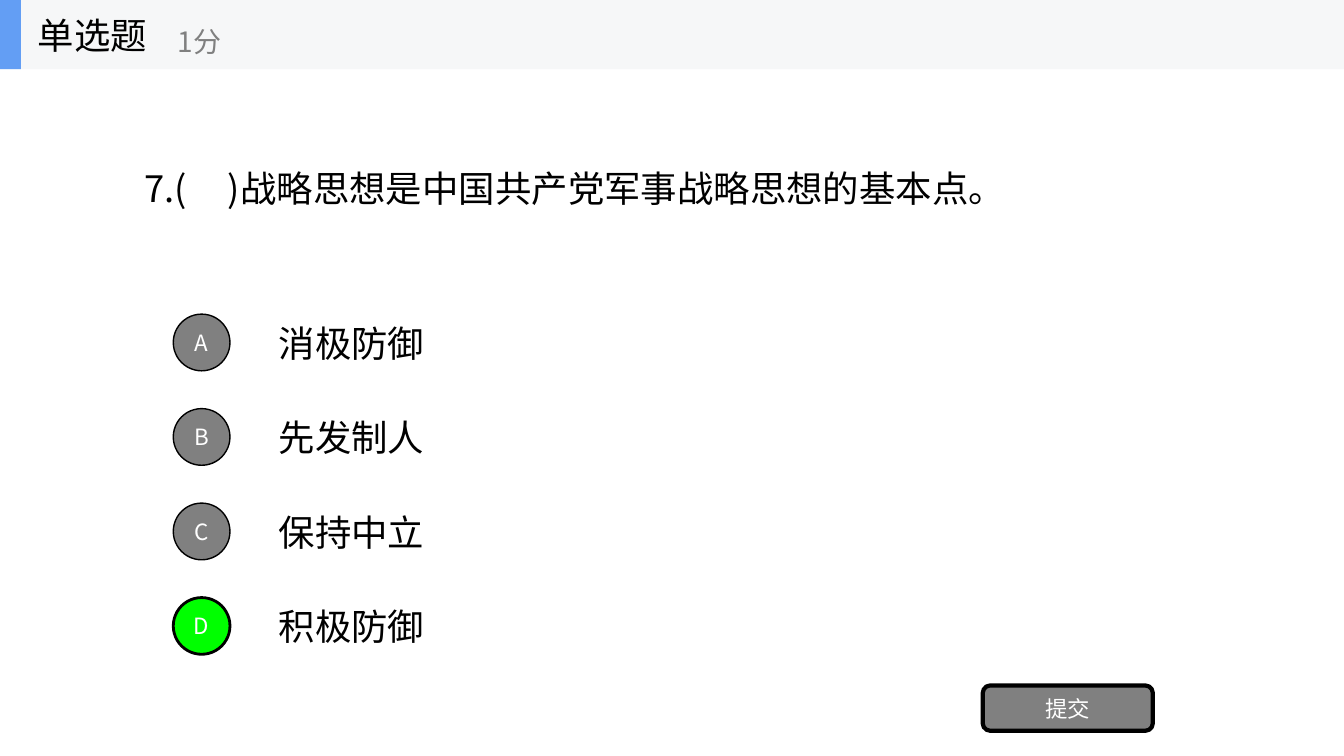
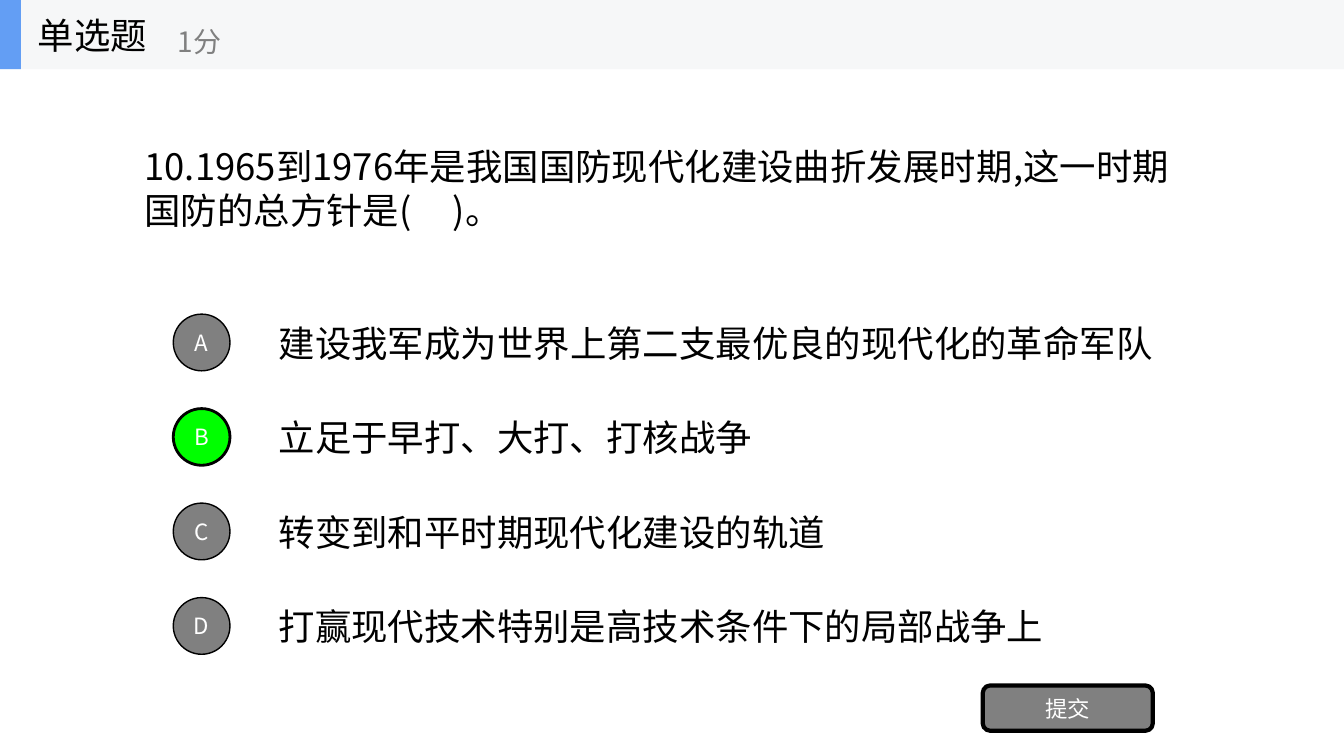
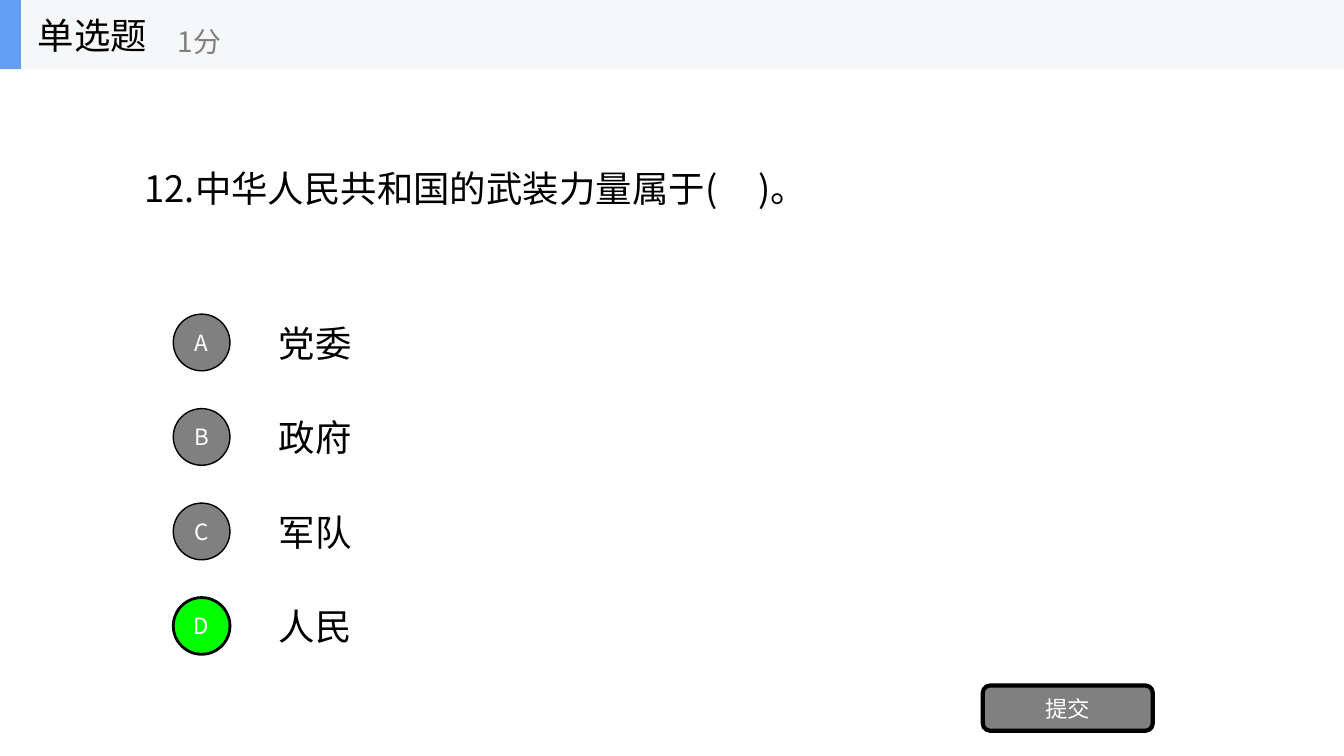
from dataclasses import dataclass

from lxml import etree
from pptx import Presentation
from pptx.dml.color import RGBColor
from pptx.enum import shapes, text
from pptx.oxml import ns
from pptx.util import Pt


# Theme: colours, font and type sizes
@dataclass(frozen=True)
class Theme:
    font: str = "Noto Sans CJK SC"
    ink: str = "000000"
    paper: str = "FFFFFF"
    grey: str = "808080"
    correct: str = "00FF00"
    band: str = "F6F7F8"
    accent: str = "639EF4"
    body_size: int = 26
    score_size: int = 20
    label_size: int = 16


THEME = Theme()


@dataclass(frozen=True)
class Box:
    left: float
    top: float
    width: float
    height: float

    def lengths(self) -> tuple:
        return Pt(self.left), Pt(self.top), Pt(self.width), Pt(self.height)


@dataclass(frozen=True)
class Question:
    wording: str
    width: float
    lines: int
    options: tuple
    answer: str


# Layout, in points
PAGE_WIDTH, PAGE_HEIGHT = 960, 540
BAND_HEIGHT = 49.5
QUESTION_LEFT, QUESTION_MIDDLE = 96, 134.3
LINE_BOX, EXTRA_LINE = 38.2, 31.6
OPTION_LEFT, OPTION_PADDING = 192, 22
BADGE_LEFT, BADGE_SIZE = 123.75, 40.5
FIRST_OPTION_MIDDLE, OPTION_PITCH = 244.6, 67.5
SUBMIT = Box(702, 489.6, 121.5, 32.4)

QUESTIONS = (
    Question("7.(     )战略思想是中国共产党军事战略思想的基本点。", 645.8, 1,
             ("消极防御", "先发制人", "保持中立", "积极防御"), "D"),
    Question("10.1965到1976年是我国国防现代化建设曲折发展时期,"
             "这一时期国防的总方针是(     )。", 751.7, 2,
             ("建设我军成为世界上第二支最优良的现代化的革命军队",
              "立足于早打、大打、打核战争",
              "转变到和平时期现代化建设的轨道",
              "打赢现代技术特别是高技术条件下的局部战争上"), "B"),
    Question("12.中华人民共和国的武装力量属于(     )。", 504.7, 1,
             ("党委", "政府", "军队", "人民"), "D"),
)


# Drawing helpers
def write(shape, wording: str, size: int, color: str,
          align=text.PP_ALIGN.LEFT, wrap: bool = True, grow: bool = False) -> None:
    frame = shape.text_frame
    frame.text = wording
    frame.word_wrap = wrap
    frame.vertical_anchor = text.MSO_ANCHOR.MIDDLE
    frame.auto_size = (text.MSO_AUTO_SIZE.SHAPE_TO_FIT_TEXT if grow
                       else text.MSO_AUTO_SIZE.NONE)
    para = frame.paragraphs[0]
    para.alignment = align
    for span in para.runs:
        span.font.size = Pt(size)
        span.font.name = THEME.font
        span.font.color.rgb = RGBColor.from_string(color)
        east_asian = etree.SubElement(span.font._element, ns.qn("a:ea"))
        east_asian.set("typeface", THEME.font)


def add_text(parent, box: Box, wording: str, size: int, color: str, **style) -> None:
    write(parent.shapes.add_textbox(*box.lengths()), wording, size, color, **style)


def add_block(parent, kind, box: Box, fill: str, line: float = 0, label: str = "") -> None:
    shape = parent.shapes.add_shape(kind, *box.lengths())
    shape.shadow.inherit = False
    shape.fill.solid()
    shape.fill.fore_color.rgb = RGBColor.from_string(fill)
    if line:
        shape.line.color.rgb = RGBColor.from_string(THEME.ink)
        shape.line.width = Pt(line)
    else:
        shape.line.fill.background()
    if label:
        frame = shape.text_frame
        frame.margin_left = frame.margin_right = 0
        write(shape, label, THEME.label_size, THEME.paper, text.PP_ALIGN.CENTER)


# Parts of a question page
def add_header(page) -> None:
    header = page.shapes.add_group_shape()
    rectangle = shapes.MSO_SHAPE.RECTANGLE
    add_block(header, rectangle, Box(0, 0, PAGE_WIDTH, BAND_HEIGHT), THEME.band)
    add_block(header, rectangle, Box(0, 0, 15, BAND_HEIGHT), THEME.accent)
    add_text(header, Box(20, 0, 150, BAND_HEIGHT), "单选题",
             THEME.body_size, THEME.ink, wrap=False)
    add_text(header, Box(120, 9, 180, 40.5), "1分",
             THEME.score_size, THEME.grey, wrap=False)


def add_question(page, question: Question) -> None:
    height = LINE_BOX + EXTRA_LINE * (question.lines - 1)
    title = page.shapes.title
    title.left, title.top, title.width, title.height = Box(
        QUESTION_LEFT, QUESTION_MIDDLE - height / 2, question.width, height).lengths()
    write(title, question.wording, THEME.body_size, THEME.ink, grow=True)


def add_option(page, index: int, letter: str, wording: str, correct: bool) -> None:
    middle = FIRST_OPTION_MIDDLE + index * OPTION_PITCH
    width = len(wording) * THEME.body_size + OPTION_PADDING
    add_text(page, Box(OPTION_LEFT, middle - LINE_BOX / 2, width, LINE_BOX),
             wording, THEME.body_size, THEME.ink, grow=True)
    add_block(page, shapes.MSO_SHAPE.OVAL,
              Box(BADGE_LEFT, middle - BADGE_SIZE / 2, BADGE_SIZE, BADGE_SIZE),
              THEME.correct if correct else THEME.grey, 2 if correct else 1, letter)


def add_page(deck, question: Question) -> None:
    page = deck.slides.add_slide(deck.slide_layouts.get_by_name("Title Only"))
    add_question(page, question)
    for index, (letter, wording) in enumerate(zip("ABCD", question.options)):
        add_option(page, index, letter, wording, letter == question.answer)
    add_block(page, shapes.MSO_SHAPE.ROUNDED_RECTANGLE, SUBMIT, THEME.grey, 3, "提交")
    add_header(page)


def main() -> None:
    deck = Presentation()
    deck.slide_width, deck.slide_height = Pt(PAGE_WIDTH), Pt(PAGE_HEIGHT)
    for question in QUESTIONS:
        add_page(deck, question)
    deck.save("out.pptx")


if __name__ == "__main__":
    main()
